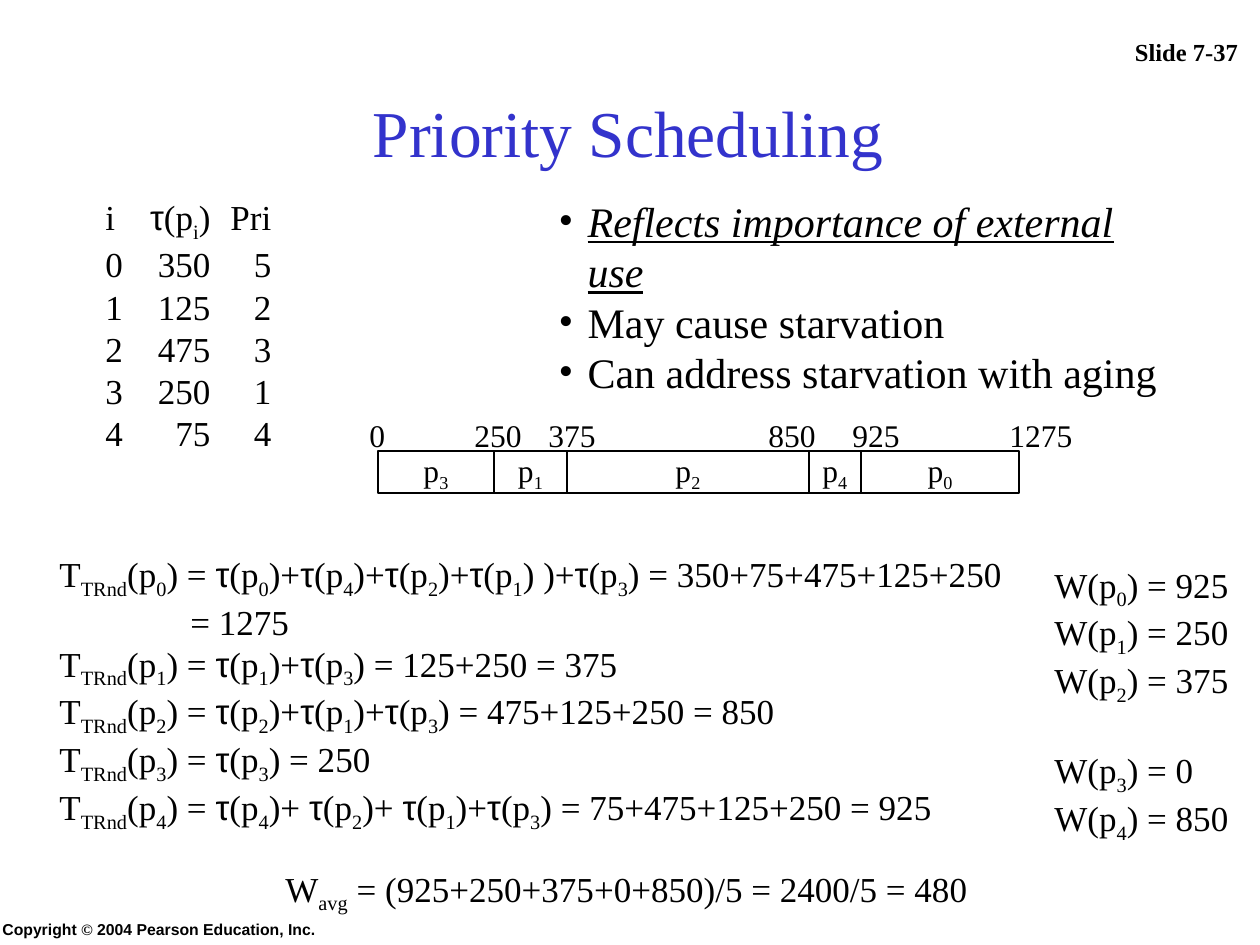
from itertools import accumulate

from pptx import Presentation
from pptx.dml.color import RGBColor as Rgb
from pptx.enum.shapes import MSO_SHAPE as Kind
from pptx.enum.text import MSO_ANCHOR as Anchor, MSO_AUTO_SIZE as Fit, PP_ALIGN as Align
from pptx.oxml.ns import qn
from pptx.util import Emu, Inches, Pt
from lxml.etree import SubElement as Sub

HUES = {"ink": "000000", "title": "3333CC", "paper": "FFFFFF"}
SERIF, SANS = "Times New Roman", "Arial"


def px(num):
    return Emu(round(num * Inches(1) / 126))


def hue(name):
    return Rgb.from_string(HUES[name])


def write(para, text, size=20, color="ink", font=SERIF, swap="τ", other=SANS,
          bold=False, italic=False, line=False):
    marked = text.replace("{", "|{").replace("}", "|").replace(swap, f"|{swap}|")
    for part in filter(None, marked.split("|")):
        run = para.add_run()
        run.text = part.lstrip("{")
        face = run.font
        face.size, face.bold, face.italic, face.underline = Pt(size), bold, italic, line
        face.name = other if part == swap else font
        face.color.rgb = hue(color)
        if part.startswith("{"):
            run._r.get_or_add_rPr().set("baseline", "-25000")


class Deck:
    def __init__(self):
        self.prs = Presentation()
        self.prs.slide_width, self.prs.slide_height = px(1260), px(945)
        self.slide = self.prs.slides.add_slide(self.prs.slide_layouts[1])

    def place(self, shape, left, top, wide, high):
        shape.left, shape.top, shape.width, shape.height = map(px, (left, top, wide, high))

    def frame(self, shape, anchor=Anchor.TOP, wrap=True):
        frame = shape.text_frame
        frame.auto_size = Fit.NONE
        frame.word_wrap, frame.vertical_anchor = wrap, anchor
        frame.margin_left = frame.margin_right = Inches(0.1)
        frame.margin_top = frame.margin_bottom = Inches(0.05)
        return frame

    def fill(self, frame, lines, align=Align.LEFT, **style):
        paras = []
        for num, text in enumerate(lines):
            para = frame.add_paragraph() if num else frame.paragraphs[0]
            para.alignment = align
            write(para, text, **style)
            paras.append(para)
        return paras

    def text(self, box, *lines, anchor=Anchor.TOP, wrap=True, **style):
        shape = self.slide.shapes.add_textbox(*map(px, box))
        return self.fill(self.frame(shape, anchor, wrap), lines, **style)

    def title(self, box, text, **style):
        shape = self.slide.shapes.title
        self.place(shape, *box)
        self.fill(self.frame(shape, Anchor.MIDDLE), [text], Align.CENTER, **style)

    def bullets(self, box, first, *rest, **style):
        shape = self.slide.placeholders[1]
        self.place(shape, *box)
        frame = self.frame(shape)
        for num, text in enumerate((first, *rest)):
            para = frame.add_paragraph() if num else frame.paragraphs[0]
            para.space_before = Pt(0)
            prop = para._p.get_or_add_pPr()
            prop.set("marL", str(px(29)))
            prop.set("indent", str(-px(29)))
            Sub(prop, qn("a:buFont"), typeface=SERIF)
            Sub(prop, qn("a:buChar"), char="•")
            write(para, text, italic=not num, line=not num, **style)

    def columns(self, box, head, rows, stops):
        lines = ["\t".join(map(str, row)) for row in (head, *rows)]
        for para in self.text(box, *lines):
            tabs = Sub(para._p.get_or_add_pPr(), qn("a:tabLst"))
            for stop in stops:
                Sub(tabs, qn("a:tab"), pos=str(px(stop)), algn="r")

    def block(self, box, text):
        shape = self.slide.shapes.add_shape(Kind.RECTANGLE, *map(px, box))
        shape.shadow.inherit = False
        shape.fill.solid()
        shape.fill.fore_color.rgb = hue("paper")
        shape.line.color.rgb = hue("ink")
        shape.line.width = Pt(0.75)
        frame = self.frame(shape, Anchor.MIDDLE, False)
        self.fill(frame, [text], Align.CENTER, size=18)


def main():
    deck = Deck()
    deck.text((1113, -21, 147, 94), "Slide 7-37", anchor=Anchor.BOTTOM,
              align=Align.CENTER, size=14, bold=True)
    deck.text((-10, 914, 609, 32), "Copyright © 2004 Pearson Education, Inc.",
              size=9, bold=True, font=SANS, swap="©", other=SERIF)
    deck.title((93, 84, 1071, 94), "Priority Scheduling", size=37.4, color="title")
    deck.columns((93, 189, 194, 271), ("i", "τ(p{i})", "Pri"),
                 [(0, 350, 5), (1, 125, 2), (2, 475, 3), (3, 250, 1), (4, 75, 4)],
                 (105, 166))
    deck.bullets((546, 189, 632, 164), "Reflects importance of external use",
                 "May cause starvation", "Can address starvation with aging", size=24)

    widths = (116, 73, 242, 52, 158)
    lefts = accumulate(widths, initial=378)
    for left, wide, job in zip(lefts, widths, (3, 1, 2, 4, 0)):
        deck.block((left, 451, wide, 42), f"p{{{job}}}")
    marks = ((0, 357, 40), (250, 462, 72), (375, 536, 72),
             (850, 756, 72), (925, 840, 72), (1275, 997, 88))
    for time, left, wide in marks:
        deck.text((left, 410, wide, 50), str(time), size=18, wrap=False)

    sums = deck.text(
        (47, 546, 975, 294),
        "T{TRnd}(p{0}) = τ(p{0})+τ(p{4})+τ(p{2})+τ(p{1}) )+τ(p{3}) = 350+75+475+125+250",
        "= 1275",
        "T{TRnd}(p{1}) = τ(p{1})+τ(p{3}) = 125+250 = 375",
        "T{TRnd}(p{2}) = τ(p{2})+τ(p{1})+τ(p{3}) = 475+125+250 = 850",
        "T{TRnd}(p{3}) = τ(p{3}) = 250",
        "T{TRnd}(p{4}) = τ(p{4})+ τ(p{2})+ τ(p{1})+τ(p{3}) = 75+475+125+250 = 925")
    sums[1]._p.get_or_add_pPr().set("marL", str(px(131)))

    waits = (925, 250, 375, 0, 850)
    lines = [f"W(p{{{job}}}) = {wait}" for job, wait in enumerate(waits)]
    paras = deck.text((1042, 557, 199, 294), *lines, wrap=False)
    paras[3].space_before = Pt(24)
    deck.text((273, 861, 707, 60), "W{avg} = (925+250+375+0+850)/5 = 2400/5 = 480",
              wrap=False)
    deck.prs.save("out.pptx")


if __name__ == "__main__":
    main()
